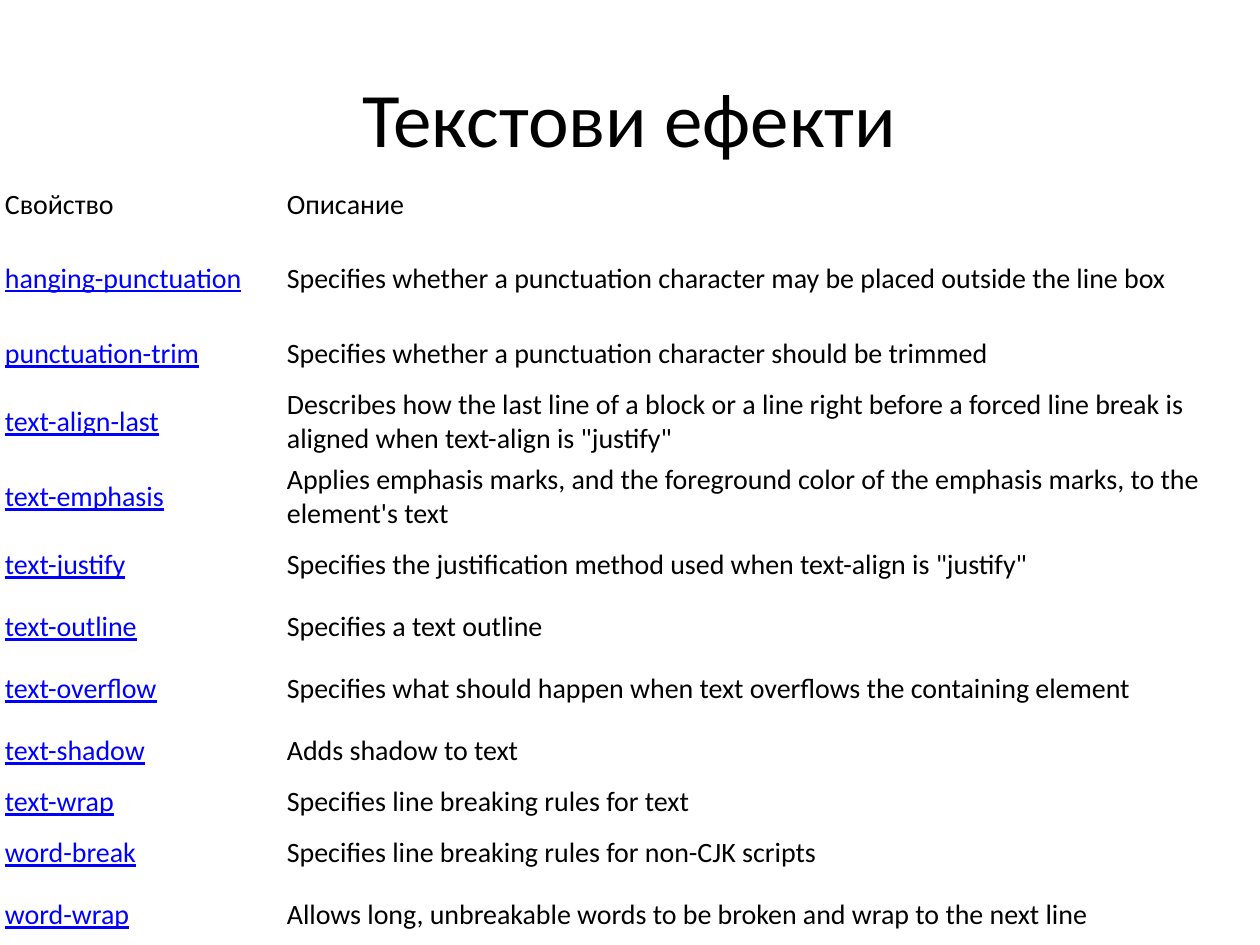
from pptx import Presentation
from pptx.dml.color import RGBColor
from pptx.enum.text import MSO_ANCHOR, PP_ALIGN
from pptx.util import Pt

PX = 914400 // 126
BLACK = RGBColor(0x00, 0x00, 0x00)
LINK_BLUE = RGBColor(0x00, 0x00, 0xFF)
WHITE = RGBColor(0xFF, 0xFF, 0xFF)
FONT = "Calibri"

TITLE_BOX = (63, 38, 1134, 158)
TABLE_BOX = (0, 175, 1260, 767)
PROPERTY_WIDTH = 282
ROW_HEIGHT = 62
SPECIAL_HEIGHTS = {0: 59, 1: 89, 3: 59, 9: 35}

HEADINGS = ("Свойство", "Описание")
PROPERTIES = [
    ("hanging-punctuation", "Specifies whether a punctuation character may be placed outside the line box"),
    ("punctuation-trim", "Specifies whether a punctuation character should be trimmed"),
    ("text-align-last", "Describes how the last line of a block or a line right before a forced "
                        "line break is aligned when text-align is \"justify\""),
    ("text-emphasis", "Applies emphasis marks, and the foreground color of the emphasis marks, "
                      "to the element's text"),
    ("text-justify", "Specifies the justification method used when text-align is \"justify\""),
    ("text-outline", "Specifies a text outline"),
    ("text-overflow", "Specifies what should happen when text overflows the containing element"),
    ("text-shadow", "Adds shadow to text"),
    ("text-wrap", "Specifies line breaking rules for text"),
    ("word-break", "Specifies line breaking rules for non-CJK scripts"),
    ("word-wrap", "Allows long, unbreakable words to be broken and wrap to the next line"),
]


def px(length):
    """Turn px into EMU."""
    return length * PX


def write(frame, text, size=16, color=BLACK, underline=False, align=PP_ALIGN.LEFT):
    """Put one formatted paragraph into a text frame."""
    paragraph = frame.paragraphs[0]
    paragraph.alignment = align
    run = paragraph.add_run()
    run.text = text
    run.font.name = FONT
    run.font.size = Pt(size)
    run.font.bold = False
    run.font.underline = underline
    run.font.color.rgb = color


def place_title(slide, box, text):
    """Move the title placeholder into the box and fill it."""
    title = slide.shapes.title
    title.left, title.top, title.width, title.height = map(px, box)
    title.text_frame.vertical_anchor = MSO_ANCHOR.MIDDLE
    write(title.text_frame, text, size=44, align=PP_ALIGN.CENTER)


def fill_cell(cell, text, **text_format):
    """Clear the cell style and write its text."""
    cell.fill.background()
    cell.vertical_anchor = MSO_ANCHOR.MIDDLE
    cell.margin_left = cell.margin_right = px(5)
    cell.margin_top = cell.margin_bottom = px(3)
    write(cell.text_frame, text, **text_format)


def place_properties(slide, box):
    """Build the table of properties and descriptions in the box."""
    entries = [HEADINGS, *PROPERTIES]
    table = slide.shapes.add_table(len(entries), 2, *map(px, box)).table
    table.first_row = table.horz_banding = False
    table.columns[0].width = px(PROPERTY_WIDTH)
    table.columns[1].width = px(box[2] - PROPERTY_WIDTH)
    for index, (name, description) in enumerate(entries):
        table.rows[index].height = px(SPECIAL_HEIGHTS.get(index, ROW_HEIGHT))
        is_property = index > 0
        fill_cell(table.cell(index, 0), name, underline=is_property,
                  color=LINK_BLUE if is_property else BLACK)
        fill_cell(table.cell(index, 1), description)


def main():
    """Build and save the slide."""
    deck = Presentation()
    deck.slide_width, deck.slide_height = px(1260), px(945)
    slide = deck.slides.add_slide(deck.slide_layouts[5])
    slide.background.fill.solid()
    slide.background.fill.fore_color.rgb = WHITE
    place_title(slide, TITLE_BOX, "Текстови ефекти")
    place_properties(slide, TABLE_BOX)
    deck.save("out.pptx")


if __name__ == "__main__":
    main()
